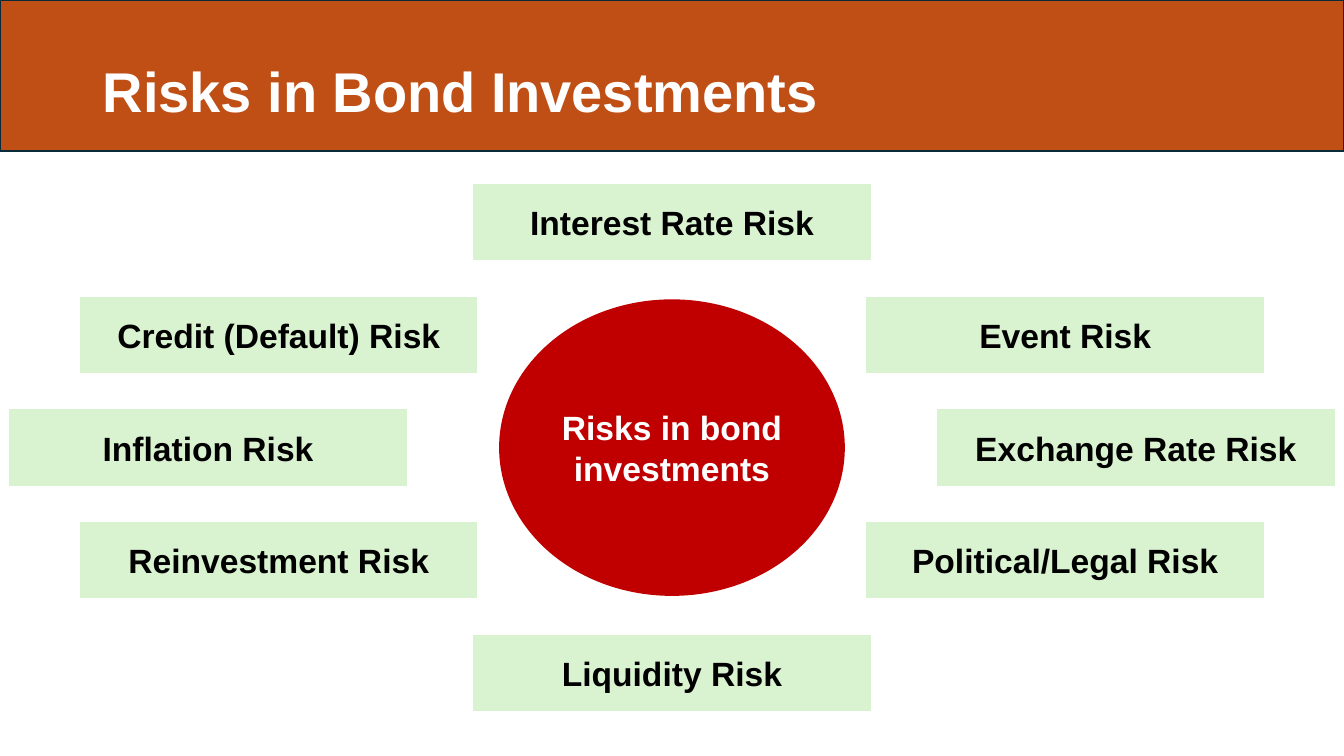
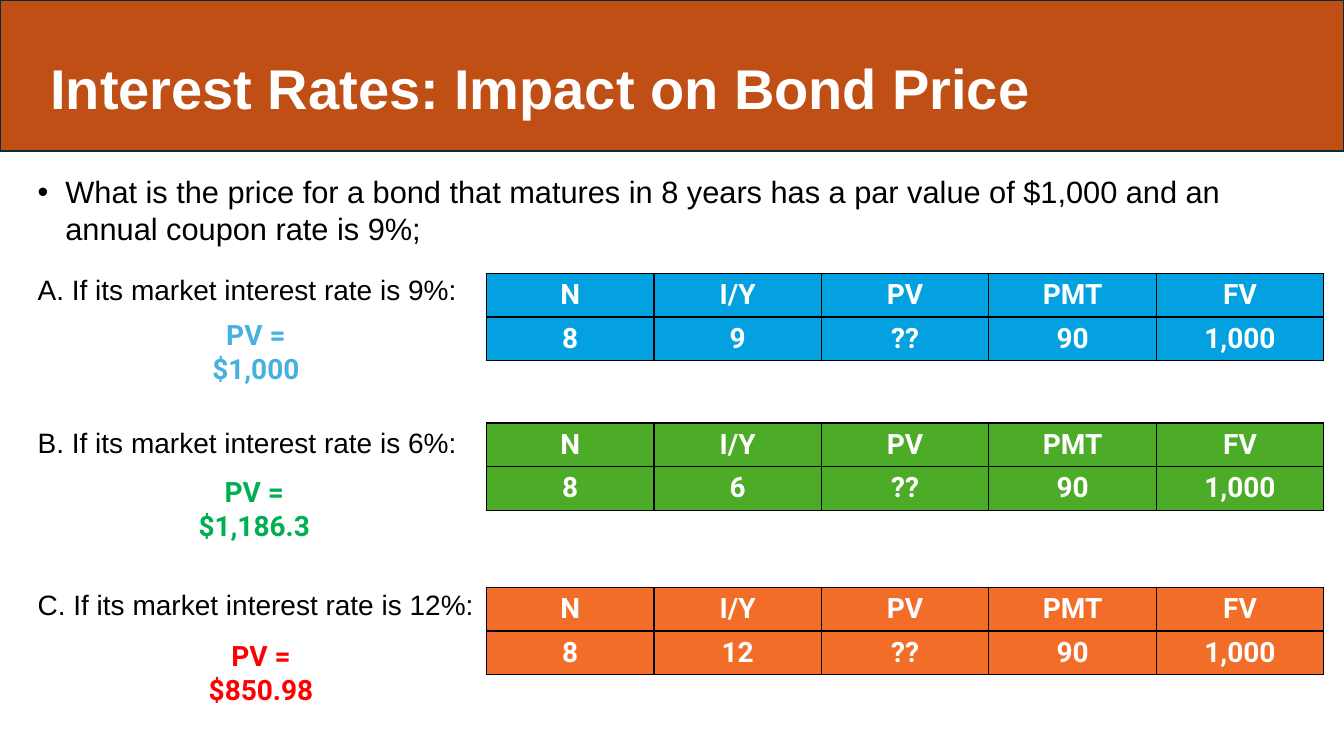
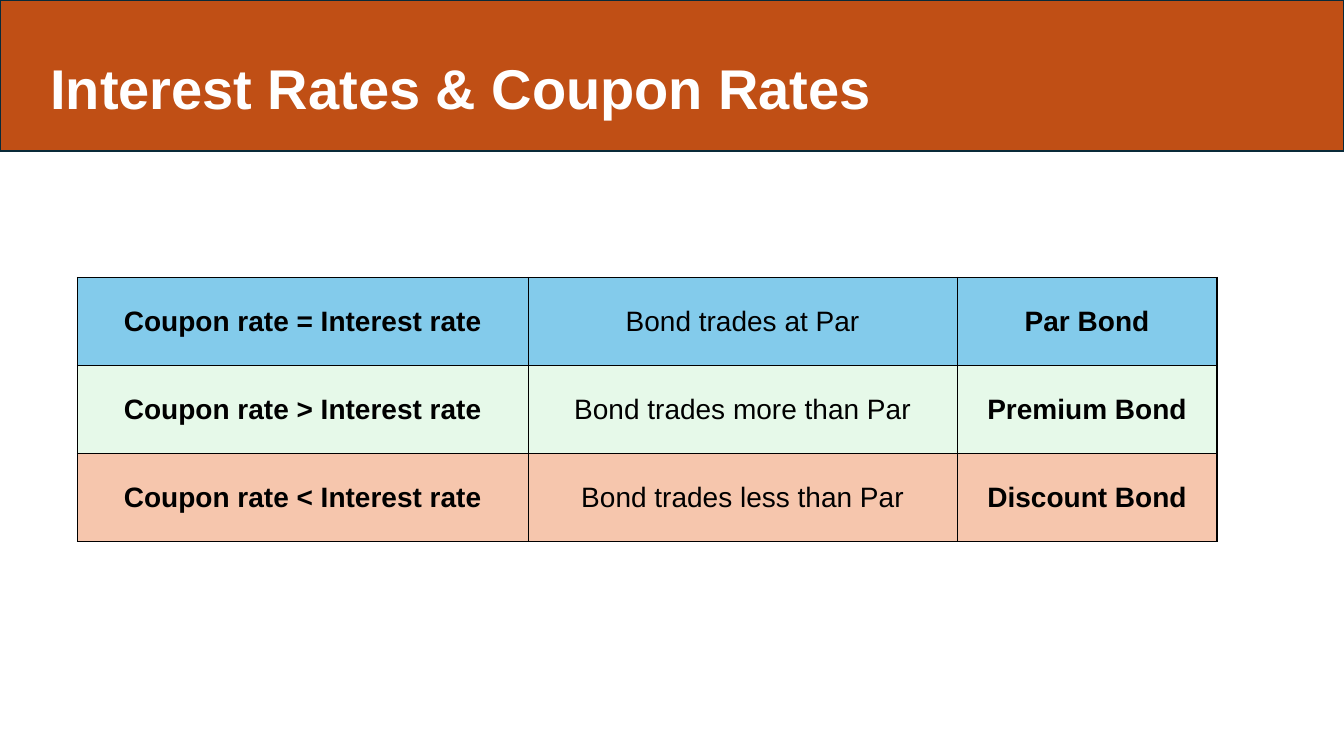
from pptx import Presentation
from pptx.dml.color import RGBColor
from pptx.enum.shapes import MSO_SHAPE
from pptx.enum.text import MSO_ANCHOR, PP_ALIGN
from pptx.oxml.ns import qn
from pptx.util import Cm, Pt
from lxml.etree import SubElement

SLIDE_W, SLIDE_H = 33.87, 19.05
BAND_H = 3.8
BAND, BAND_EDGE = "C04F15", "092A39"
RISK_FILL, HUB_FILL = "D9F2D0", "C00000"
WHITE, BLACK = "FFFFFF", "000000"

RISK_W, RISK_H = 9.91, 1.82
RISK_TOP, RISK_STEP = 4.69, 2.84
HUB_W, HUB_H = 8.66, 7.42
HUB = "Risks in bond investments"
RISK_ROWS = [
    (0, ["Interest Rate Risk"]),
    (9.91, ["Credit (Default) Risk", "Event Risk"]),
    (11.69, ["Inflation Risk", "Exchange Rate Risk"]),
    (9.91, ["Reinvestment Risk", "Political/Legal Risk"]),
    (0, ["Liquidity Risk"]),
]

QUESTION = ("What is the price for a bond that matures in 8 years has a par value "
            "of $1,000 and an annual coupon rate is 9%;")
INPUTS = ["N", "I/Y", "PV", "PMT", "FV"]
CASES = [
    dict(letter="A", rate="9", price="$1,000", fill="04A1E0", ink="46B1E1",
         label_top=6.73, table_top=6.89, price_top=7.88, price_center=6.45),
    dict(letter="B", rate="6", price="$1,186.3", fill="4CAC27", ink="00B050",
         label_top=10.59, table_top=10.66, price_top=11.84, price_center=6.41),
    dict(letter="C", rate="12", price="$850.98", fill="F26D28", ink="FF0000",
         label_top=14.68, table_top=14.8, price_top=15.97, price_center=6.58),
]
PRICE_W = 4.2
INPUT_W, INPUT_H, INPUT_STEP = 4.22, 1.05, 1.1

BOND_TYPES = [
    ("83CBEB", ["Coupon rate = Interest rate", "Bond trades at Par", "Par Bond"]),
    ("E6F9E9", ["Coupon rate > Interest rate", "Bond trades more than Par", "Premium Bond"]),
    ("F6C6AD", ["Coupon rate < Interest rate", "Bond trades less than Par", "Discount Bond"]),
]


def color(value):
    return RGBColor.from_string(value)


def write(frame, text, size=20, ink=BLACK, bold=False, face="Arial",
          align=PP_ALIGN.LEFT, anchor=MSO_ANCHOR.TOP, spacing=None, bullet=False):
    frame.word_wrap = True
    frame.vertical_anchor = anchor
    paragraph = frame.paragraphs[0]
    paragraph.alignment = align
    if spacing:
        paragraph.line_spacing = spacing
    if bullet:
        properties = paragraph._p.get_or_add_pPr()
        properties.set("marL", str(Cm(0.7)))
        properties.set("indent", str(-Cm(0.7)))
        SubElement(properties, qn("a:buFont"), typeface="Arial")
        SubElement(properties, qn("a:buChar"), char="•")
    run = paragraph.add_run()
    run.text = text
    run.font.size = Pt(size)
    run.font.name = face
    run.font.bold = bold
    run.font.color.rgb = color(ink)


def add_text(slide, box, text, **style):
    write(slide.shapes.add_textbox(*map(Cm, box)).text_frame, text, **style)


def add_block(slide, kind, box, fill, edge, edge_width):
    block = slide.shapes.add_shape(kind, *map(Cm, box))
    block.shadow.inherit = False
    block.fill.solid()
    block.fill.fore_color.rgb = color(fill)
    block.line.color.rgb = color(edge)
    block.line.width = Pt(edge_width)
    outline = block._element.spPr.find(qn("a:ln"))
    SubElement(outline, qn("a:miter"), lim="800000")
    return block


def add_grid(slide, left, top, widths, row_height, rows, fills, style):
    table = slide.shapes.add_table(
        len(rows), len(widths), Cm(left), Cm(top),
        Cm(sum(widths)), Cm(row_height * len(rows))).table
    table.first_row = table.horz_banding = False
    for column, width in zip(table.columns, widths):
        column.width = Cm(width)
    for r, (texts, fill) in enumerate(zip(rows, fills)):
        table.rows[r].height = Cm(row_height)
        for c, text in enumerate(texts):
            cell = table.cell(r, c)
            properties = cell._tc.get_or_add_tcPr()
            for side in ("a:lnL", "a:lnR", "a:lnT", "a:lnB"):
                border = SubElement(properties, qn(side), w=str(Pt(1)))
                paint = SubElement(border, qn("a:solidFill"))
                SubElement(paint, qn("a:srgbClr"), val=BLACK)
            cell.fill.solid()
            cell.fill.fore_color.rgb = color(fill)
            cell_style = style(c)
            write(cell.text_frame, text, align=PP_ALIGN.CENTER, **cell_style)
            cell.vertical_anchor = cell_style.get("anchor", MSO_ANCHOR.TOP)


def add_titled_slide(deck, title, left=1.02, top=0.94, width=31.83):
    slide = deck.slides.add_slide(deck.slide_layouts[6])
    add_block(slide, MSO_SHAPE.RECTANGLE, (0, 0, SLIDE_W, BAND_H), BAND, BAND_EDGE, 1.5)
    add_text(slide, (left, top, width, 2.72), title, size=40, ink=WHITE, bold=True,
             anchor=MSO_ANCHOR.MIDDLE, spacing=0.9)
    return slide


def build_risks(deck):
    slide = add_titled_slide(deck, "Risks in Bond Investments", 2.34, 1.02, 29.21)
    centered = dict(size=24, bold=True, align=PP_ALIGN.CENTER, anchor=MSO_ANCHOR.MIDDLE)
    for row, (offset, risks) in enumerate(RISK_ROWS):
        for side, risk in zip((-1, 1), risks):
            box = (SLIDE_W / 2 + side * offset - RISK_W / 2,
                   RISK_TOP + row * RISK_STEP, RISK_W, RISK_H)
            block = add_block(slide, MSO_SHAPE.RECTANGLE, box, RISK_FILL, RISK_FILL, 3)
            write(block.text_frame, risk, **centered)
    middle = RISK_TOP + 2 * RISK_STEP + RISK_H / 2
    hub_box = ((SLIDE_W - HUB_W) / 2, middle - HUB_H / 2, HUB_W, HUB_H)
    hub = add_block(slide, MSO_SHAPE.OVAL, hub_box, HUB_FILL, HUB_FILL, 1.5)
    write(hub.text_frame, HUB, ink=WHITE, **centered)


def build_prices(deck):
    slide = add_titled_slide(deck, "Interest Rates: Impact on Bond Price")
    add_text(slide, (0.7, 4.24, 32.46, 2.13), QUESTION, size=22, bullet=True)
    for case in CASES:
        add_text(slide, (0.7, case["label_top"], 11.51, 1.12),
                 f"{case['letter']}. If its market interest rate is {case['rate']}%:")
        values = ["8", case["rate"], "??", "90", "1,000"]
        for line, texts in enumerate((INPUTS, values)):
            add_grid(slide, 12.26, case["table_top"] + line * INPUT_STEP,
                     [INPUT_W] * len(INPUTS), INPUT_H, [texts], [case["fill"]],
                     lambda column: dict(ink=WHITE, bold=True, face="Roboto"))
        add_text(slide, (case["price_center"] - PRICE_W / 2, case["price_top"], PRICE_W, 1.12),
                 f"PV = {case['price']}", ink=case["ink"], bold=True, face="Roboto",
                 align=PP_ALIGN.CENTER)


def build_bond_types(deck):
    slide = add_titled_slide(deck, "Interest Rates & Coupon Rates")
    fills, rows = zip(*BOND_TYPES)
    add_grid(slide, 1.95, 6.99, [11.36, 10.81, 6.55], 2.22, rows, fills,
             lambda column: dict(bold=column != 1, anchor=MSO_ANCHOR.MIDDLE))


def main():
    deck = Presentation()
    deck.slide_width, deck.slide_height = Cm(SLIDE_W), Cm(SLIDE_H)
    build_risks(deck)
    build_prices(deck)
    build_bond_types(deck)
    deck.save("out.pptx")


if __name__ == "__main__":
    main()
